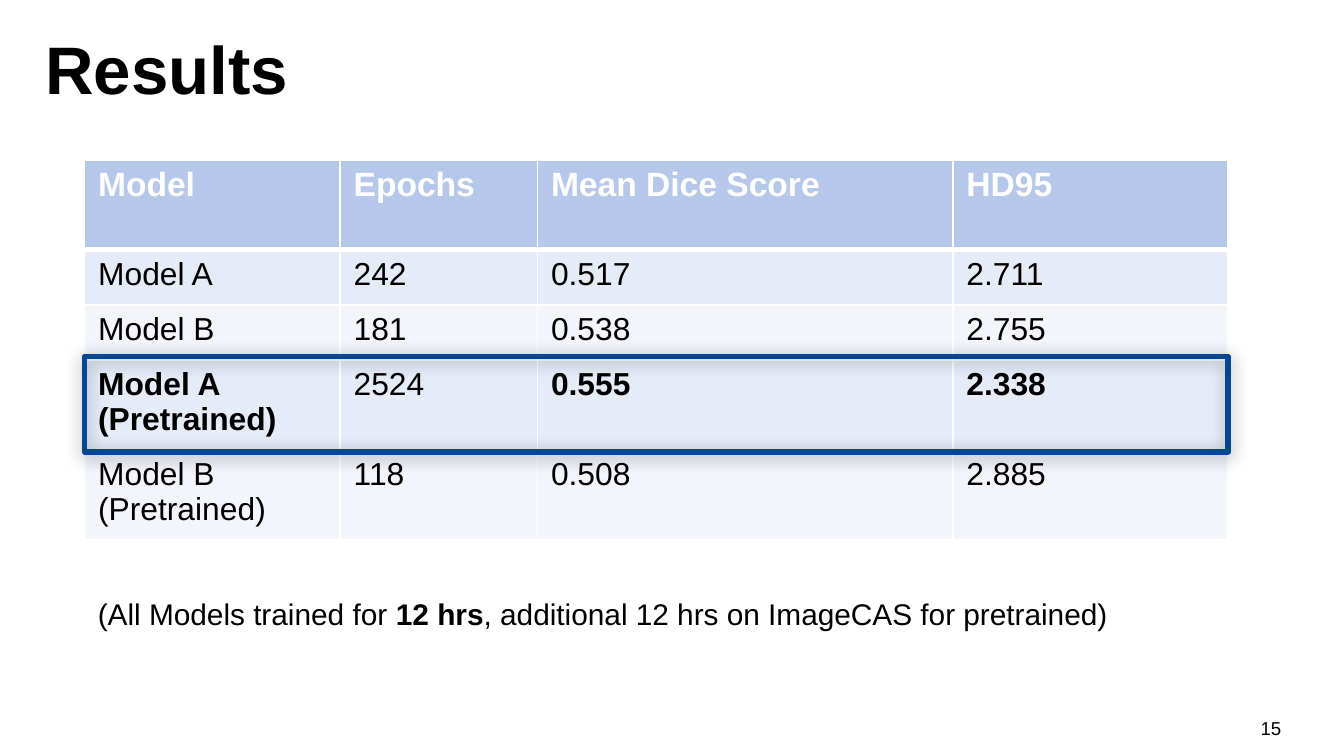
from lxml import etree
from pptx import Presentation
from pptx.dml.color import RGBColor
from pptx.enum.shapes import MSO_SHAPE
from pptx.enum.text import MSO_ANCHOR, PP_ALIGN
from pptx.oxml.ns import qn
from pptx.util import Cm, Pt

RECTANGLE = MSO_SHAPE.RECTANGLE
LEFT, CENTER = PP_ALIGN.LEFT, PP_ALIGN.CENTER
MIDDLE = MSO_ANCHOR.MIDDLE

FONT = "Arial"
BLACK = RGBColor(0x00, 0x00, 0x00)
WHITE = RGBColor(0xFF, 0xFF, 0xFF)
HEADER_BLUE = RGBColor(0xB6, 0xC8, 0xE9)
BAND_COLORS = [RGBColor(0xE5, 0xEB, 0xF7), RGBColor(0xF3, 0xF5, 0xFB)]
HIGHLIGHT_BLUE = RGBColor(0x01, 0x46, 0x93)

COLUMN_WIDTHS = [4.83, 3.73, 7.85, 5.2]
ROW_HEIGHTS = [1.7, 1.04, 1.04, 1.7, 1.7]
RESULTS = [
    ["Model", "Epochs", "Mean Dice Score", "HD95"],
    ["Model A", "242", "0.517", "2.711"],
    ["Model B", "181", "0.538", "2.755"],
    ["Model A (Pretrained)", "2524", "0.555", "2.338"],
    ["Model B (Pretrained)", "118", "0.508", "2.885"],
]
BEST_CELLS = {(3, 0), (3, 2), (3, 3)}


def style_paragraph(paragraph, size, color=BLACK, bold=False):
    font = paragraph.font
    font.name, font.size, font.bold = FONT, Pt(size), bold
    font.color.rgb = color


def add_text(slide, box, runs, size, bold=False, alignment=LEFT, wrap=True):
    """Place one line of text; runs is a list of (text, bold or None) pairs."""
    frame = slide.shapes.add_textbox(*map(Cm, box)).text_frame
    frame.word_wrap = wrap
    frame.vertical_anchor = MIDDLE
    paragraph = frame.paragraphs[0]
    paragraph.alignment = alignment
    style_paragraph(paragraph, size, bold=bold)
    for text, run_bold in runs:
        run = paragraph.add_run()
        run.text = text
        run.font.bold = run_bold


def set_borders(cell, widths):
    """Draw white borders; widths are points for left, right, top, bottom."""
    properties = cell._tc.get_or_add_tcPr()
    for index, (side, width) in enumerate(zip("LRTB", widths)):
        line = etree.Element(qn(f"a:ln{side}"), w=str(Pt(width)))
        fill = etree.SubElement(line, qn("a:solidFill"))
        etree.SubElement(fill, qn("a:srgbClr"), val=str(WHITE))
        properties.insert(index, line)


def add_results_table(slide, box):
    frame = slide.shapes.add_table(len(RESULTS), len(RESULTS[0]), *map(Cm, box))
    table = frame.table
    for column, width in zip(table.columns, COLUMN_WIDTHS):
        column.width = Cm(width)
    for row, height in zip(table.rows, ROW_HEIGHTS):
        row.height = Cm(height)
    for row_index, values in enumerate(RESULTS):
        header = row_index == 0
        color = HEADER_BLUE if header else BAND_COLORS[(row_index - 1) % 2]
        top, bottom = (3 if row_index == 1 else 1), (3 if header else 1)
        for column_index, value in enumerate(values):
            cell = table.cell(row_index, column_index)
            cell.text = value
            cell.fill.solid()
            cell.fill.fore_color.rgb = color
            set_borders(cell, (1, 1, top, bottom))
            bold = header or (row_index, column_index) in BEST_CELLS
            style_paragraph(cell.text_frame.paragraphs[0], 18 if header else 17,
                            WHITE if header else BLACK, bold)


def add_highlight(slide, box):
    frame = slide.shapes.add_shape(RECTANGLE, *map(Cm, box))
    frame.fill.background()
    frame.line.color.rgb = HIGHLIGHT_BLUE
    frame.line.width = Pt(3)
    frame.shadow.inherit = False
    effects = frame._element.spPr.find(qn("a:effectLst"))
    shadow = etree.SubElement(effects, qn("a:outerShdw"), blurRad=str(Pt(9)),
                              dist=str(Pt(1)), dir="5400000", rotWithShape="0")
    color = etree.SubElement(shadow, qn("a:srgbClr"), val=str(BLACK))
    etree.SubElement(color, qn("a:alpha"), val="35000")


def add_results_slide(presentation):
    slide = presentation.slides.add_slide(presentation.slide_layouts[6])
    left, top, width = 1.6, 3.02, sum(COLUMN_WIDTHS)
    add_text(slide, (23.55, 13.39, 0.94, 0.76), [("15", None)], 10,
             alignment=CENTER, wrap=False)
    add_text(slide, (0.61, 0.38, 22.86, 1.8), [("Results", None)], 36, bold=True)
    add_results_table(slide, (left, top, width, sum(ROW_HEIGHTS)))
    add_highlight(slide, (left, 6.74, width, 1.8))
    note = [("(All Models trained for ", None), ("12 hrs", True),
            (", additional 12 hrs on ImageCAS for pretrained)", None)]
    add_text(slide, (left, 11.13, 19.69, 0.94), note, 16, wrap=False)


def main():
    presentation = Presentation()
    presentation.slide_width, presentation.slide_height = Cm(25.4), Cm(14.29)
    add_results_slide(presentation)
    presentation.save("out.pptx")


if __name__ == "__main__":
    main()
